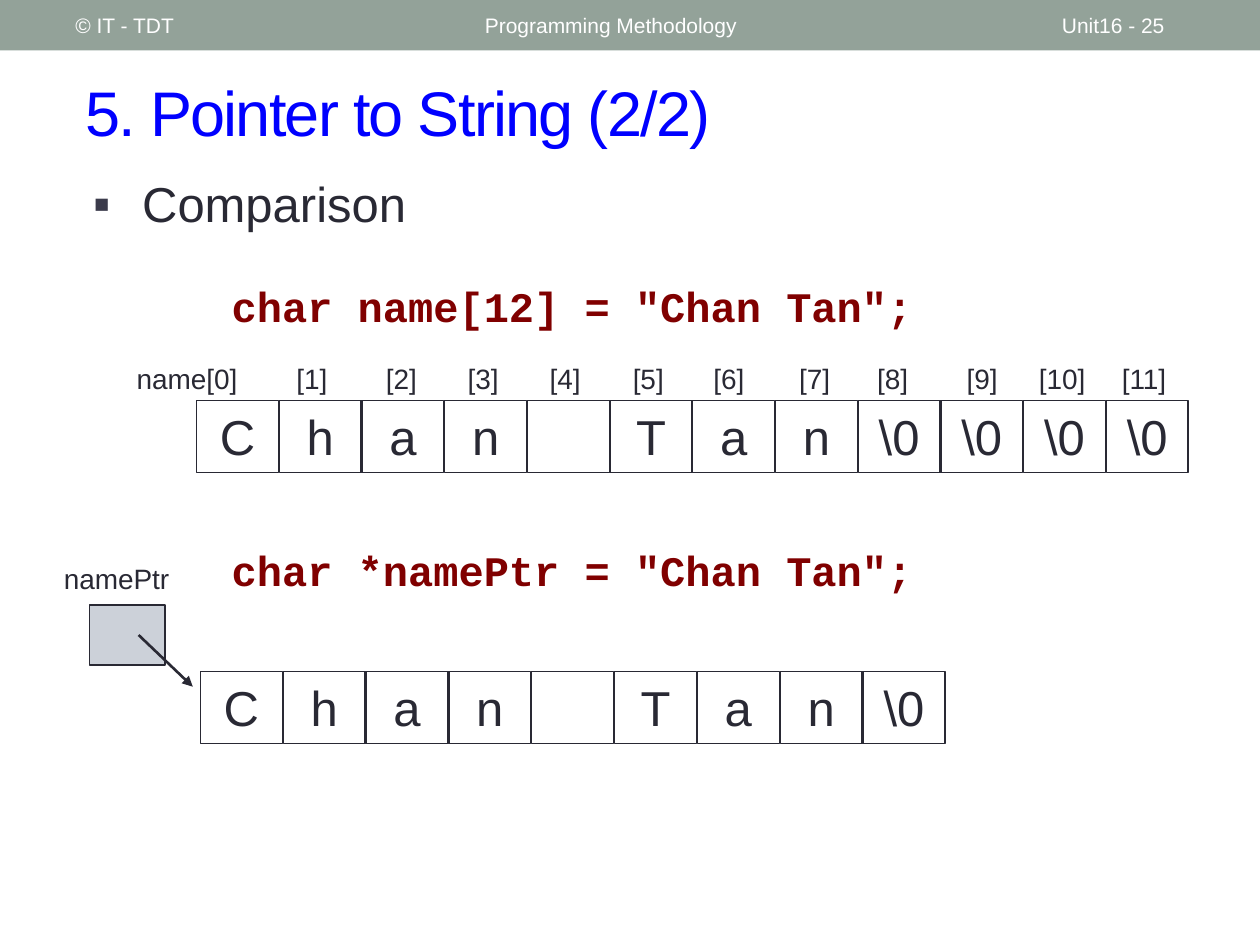
import pptx
import pptx.dml.color
import pptx.enum.shapes
import pptx.enum.text
import pptx.oxml
import pptx.oxml.ns
import pptx.util

Inches = pptx.util.Inches
Pt = pptx.util.Pt
ALIGN = pptx.enum.text.PP_ALIGN
ANCHOR = pptx.enum.text.MSO_ANCHOR

INK = "292934"
TEXT_FORMATS = {
    "header": {"name": "Arial", "size": Pt(12), "color": "FFFFFF"},
    "title": {"name": "Arial", "size": Pt(36), "color": "0000FF"},
    "body": {"name": "Arial", "size": Pt(28), "color": INK},
    "label": {"name": "Arial", "size": Pt(16), "color": INK},
    "code": {"name": "Courier New", "size": Pt(24), "bold": True, "color": "800000"},
}


def rgb(value):
    return pptx.dml.color.RGBColor.from_string(value)


def append_xml(parent, tag, children="", **attributes):
    values = "".join(f' {key}="{value}"' for key, value in attributes.items())
    namespace = pptx.oxml.ns.nsdecls("a")
    parent.append(pptx.oxml.parse_xml(f"<a:{tag} {namespace}{values}>{children}</a:{tag}>"))


class SlideBuilder:
    def __init__(self, slide):
        self.slide = slide
        self.shapes = slide.shapes

    def start_group(self):
        self.shapes = self.slide.shapes.add_group_shape().shapes

    def end_group(self):
        self.shapes = self.slide.shapes

    def fill_text(self, shape, text, style, align=ALIGN.LEFT, anchor=ANCHOR.TOP, wrap=True):
        frame = shape.text_frame
        for key, value in {"word_wrap": wrap, "vertical_anchor": anchor}.items():
            setattr(frame, key, value)
        paragraph = frame.paragraphs[0]
        paragraph.alignment = align
        run = paragraph.add_run()
        run.text = text
        for key, value in TEXT_FORMATS[style].items():
            if key == "color":
                run.font.color.rgb = rgb(value)
            else:
                setattr(run.font, key, value)
        return paragraph

    def text(self, box, text, style, **layout):
        shape = self.shapes.add_textbox(*map(Inches, box))
        return self.fill_text(shape, text, style, **layout)

    def title(self, box, text):
        paragraph = self.text(box, text, "title", anchor=ANCHOR.MIDDLE)
        paragraph.runs[0]._r.get_or_add_rPr().set("spc", "-100")

    def bullet(self, box, text):
        paragraph = self.text(box, text, "body")
        properties = paragraph._p.get_or_add_pPr()
        properties.set("marL", str(Inches(0.39)))
        properties.set("indent", str(Inches(-0.39)))
        append_xml(properties, "buClr", '<a:srgbClr val="3B3B4B"/>')
        append_xml(properties, "buFont", typeface="Arial")
        append_xml(properties, "buChar", char="▪")

    def rectangle(self, box, fill=None, line=None, line_width=0.75):
        kind = pptx.enum.shapes.MSO_SHAPE.RECTANGLE
        shape = self.shapes.add_shape(kind, *map(Inches, box))
        shape.shadow.inherit = False
        if fill:
            shape.fill.solid()
            shape.fill.fore_color.rgb = rgb(fill)
        else:
            shape.fill.background()
        if line:
            shape.line.color.rgb = rgb(line)
            shape.line.width = Pt(line_width)
        else:
            shape.line.fill.background()
        return shape

    def code(self, box, text):
        self.fill_text(self.rectangle(box, fill="FFFFFF"), text, "code")

    def label(self, left, top, width, text):
        self.text((left, top, width, 0.37), text, "label", align=ALIGN.CENTER, wrap=False)

    def cells(self, first_left, last_left, top, values):
        pitch = (last_left - first_left) / (len(values) - 1)
        for index, value in enumerate(values):
            cell = self.rectangle((first_left + index * pitch, top, 0.65, 0.57), line=INK)
            if value:
                self.fill_text(cell, value, "body", align=ALIGN.CENTER, wrap=False)

    def arrow(self, start, end):
        kind = pptx.enum.shapes.MSO_CONNECTOR.STRAIGHT
        connector = self.shapes.add_connector(kind, *map(Inches, start + end))
        connector.line.color.rgb = rgb(INK)
        connector.line.width = Pt(1.5)
        append_xml(connector.line._get_or_add_ln(), "tailEnd", type="triangle")
        append_xml(connector._element.spPr, "effectLst")


def main():
    presentation = pptx.Presentation()
    presentation.slide_width = Inches(10)
    presentation.slide_height = Inches(7.5)
    builder = SlideBuilder(presentation.slides.add_slide(presentation.slide_layouts[6]))

    builder.rectangle((0, 0, 10, 0.4), fill="93A299")
    builder.title((0.58, 0.42, 9.17, 0.92), "5. Pointer to String (2/2)")
    for left, width, text in (
        (3.75, 4.5, "Programming Methodology"),
        (8.33, 1.17, "Unit16 - 25"),
        (0.5, 3.17, "© IT - TDT"),
    ):
        builder.text((left, 0.02, width, 0.36), text, "header", anchor=ANCHOR.MIDDLE)
    builder.bullet((0.64, 1.33, 9, 0.56), "Comparison")
    builder.code((1.74, 2.18, 6.05, 0.5), 'char name[12] = "Chan Tan";')
    builder.code((1.74, 4.27, 6.28, 0.5), 'char *namePtr = "Chan Tan";')

    letters = ["C", "h", "a", "n", "", "T", "a", "n"]
    terminator = "\\0"

    builder.start_group()
    builder.label(0.35, 4.41, 1.15, "namePtr")
    builder.rectangle((0.71, 4.8, 0.6, 0.48), fill="CCD1D9", line=INK, line_width=1)
    builder.arrow((1.1, 5.04), (1.53, 5.45))
    builder.cells(1.59, 6.85, 5.33, letters + [terminator])
    builder.end_group()

    builder.start_group()
    builder.cells(1.56, 8.78, 3.18, letters + [terminator] * 4)
    builder.label(0.97, 2.82, 1.03, "name[0]")
    index_lefts = (2.25, 2.96, 3.61, 4.26, 4.92, 5.56, 6.24, 6.86, 7.57, 8.12, 8.77)
    for index, left in enumerate(index_lefts, start=1):
        builder.label(left, 2.82, 0.45 if index < 10 else 0.62, f"[{index}]")
    builder.end_group()

    presentation.save("out.pptx")


if __name__ == "__main__":
    main()
